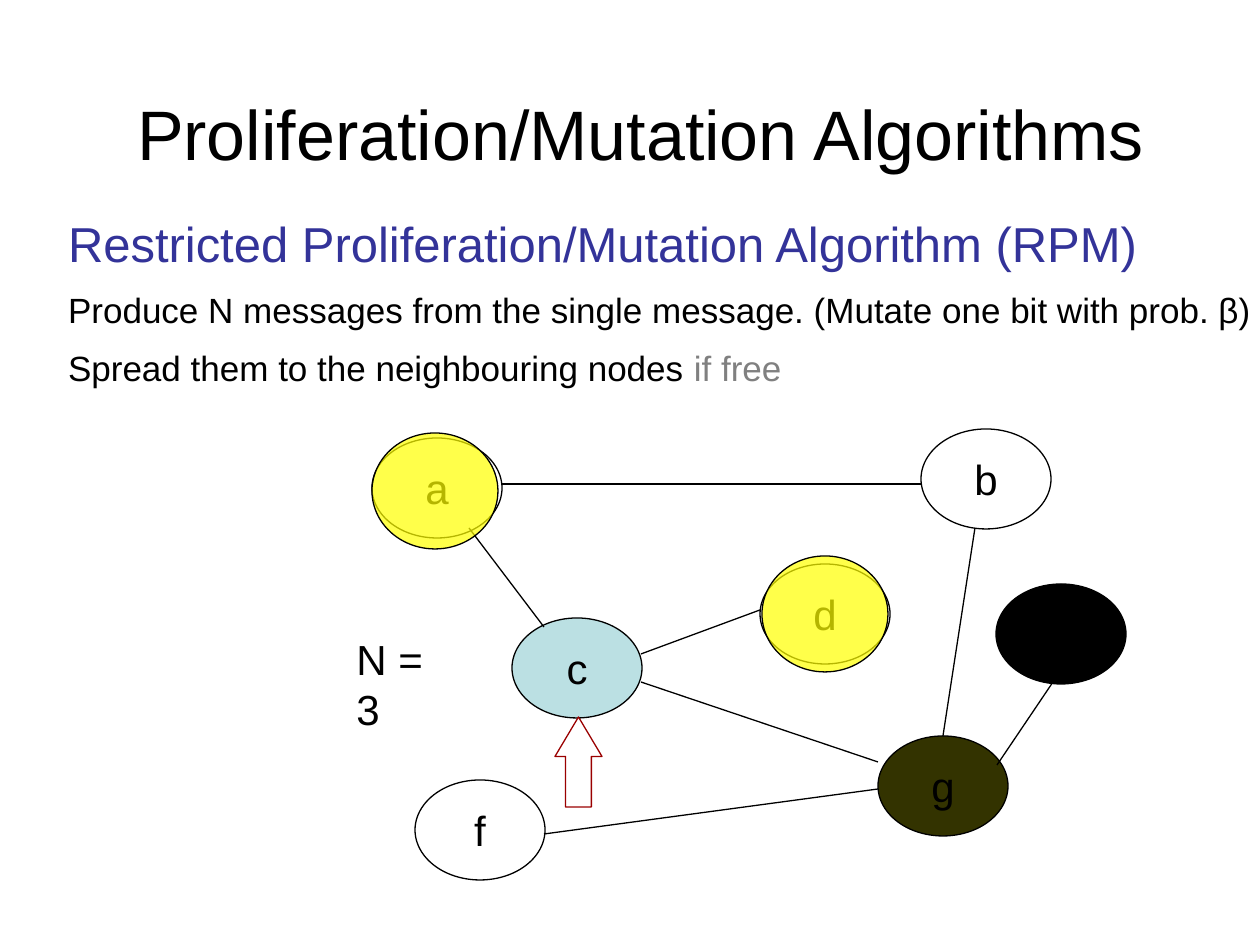
from lxml.etree import SubElement
from pptx import Presentation
from pptx.dml.color import RGBColor
from pptx.enum.shapes import MSO_CONNECTOR, MSO_SHAPE
from pptx.enum.text import MSO_ANCHOR, PP_ALIGN
from pptx.oxml.ns import qn
from pptx.util import Emu, Pt

PX_PER_INCH = 126
BLACK, WHITE, YELLOW = "000000", "FFFFFF", "FFFF00"
NODE_SIZE = (130, 100)
MARK_SIZE = (126, 116)
NODES = [
    ("a", 372, 438, WHITE),
    ("c", 512, 618, "BBE0E3"),
    ("b", 921, 429, WHITE),
    ("f", 415, 780, WHITE),
    ("g", 878, 736, "333300"),
    ("d", 760, 564, WHITE),
]
EDGES = [
    (469, 528, 544, 627),
    (641, 682, 878, 762),
    (760, 610, 641, 654),
    (544, 834, 878, 789),
    (501, 484, 921, 484),
    (975, 528, 943, 736),
]
BLOCKED_NODE = ("", 996, 584, BLACK)
BLOCKED_EDGE = (1053, 682, 997, 765)
MARKS = [(762, 556), (372, 433)]


def px(length):
    """Turn pixels into EMU."""
    return Emu(round(length * 914400 / PX_PER_INCH))


def color(hex_value):
    """Turn a hex string into a colour."""
    return RGBColor.from_string(hex_value)


def apply_format(target, values):
    """Set each attribute named in a dict."""
    for name, value in values.items():
        setattr(target, name, value)


def add_run(paragraph, text, size, hex_value=BLACK):
    """Add one run of Arial text."""
    run = paragraph.add_run()
    run.text = text
    apply_format(run.font, {"name": "Arial", "size": Pt(size)})
    run.font.color.rgb = color(hex_value)


def add_text(slide, box, paragraphs, frame_format, line_spacing=None):
    """Add a text box whose paragraphs are lists of runs."""
    frame = slide.shapes.add_textbox(*map(px, box)).text_frame
    apply_format(frame, frame_format)
    for index, runs in enumerate(paragraphs):
        paragraph = frame.add_paragraph() if index else frame.paragraphs[0]
        paragraph.line_spacing = line_spacing
        for run in runs:
            add_run(paragraph, *run)


def add_outlined(slide, preset, box, fill, line=BLACK):
    """Add a filled preset shape with a thin outline."""
    shape = slide.shapes.add_shape(preset, *map(px, box))
    shape.shadow.inherit = False
    shape.fill.solid()
    shape.fill.fore_color.rgb = color(fill)
    shape.line.color.rgb = color(line)
    shape.line.width = Pt(0.75)
    return shape


def add_node(slide, letter, left, top, fill):
    """Add a network node with its letter."""
    node = add_outlined(slide, MSO_SHAPE.OVAL, (left, top, *NODE_SIZE), fill)
    if letter:
        frame = node.text_frame
        apply_format(frame, {"word_wrap": False, "vertical_anchor": MSO_ANCHOR.MIDDLE})
        frame.paragraphs[0].alignment = PP_ALIGN.CENTER
        add_run(frame.paragraphs[0], letter, 24)


def add_edge(slide, ends):
    """Add a straight link between two nodes."""
    edge = slide.shapes.add_connector(MSO_CONNECTOR.STRAIGHT, *map(px, ends))
    edge.line.color.rgb = color(BLACK)
    edge.line.width = Pt(0.75)
    SubElement(edge._element.spPr, qn("a:effectLst"))


def add_mark(slide, left, top):
    """Add a translucent highlight over a node that received a message."""
    mark = add_outlined(slide, MSO_SHAPE.OVAL, (left, top, *MARK_SIZE), YELLOW)
    fill_color = mark._element.spPr.find(qn("a:solidFill"))[0]
    SubElement(fill_color, qn("a:alpha"), val="71000")


def add_source_arrow(slide):
    """Add the arrow pointing at the node that holds the message."""
    arrow = add_outlined(slide, MSO_SHAPE.UP_ARROW, (555, 717, 47, 90), WHITE, "9A0000")
    arrow.adjustments[0] = 0.55
    arrow.adjustments[1] = 0.84


def main():
    """Build the slide and save it."""
    deck = Presentation()
    apply_format(deck, {"slide_width": px(1260), "slide_height": px(945)})
    slide = deck.slides.add_slide(deck.slide_layouts[6])

    flush = {"word_wrap": True, "margin_left": 0, "margin_top": 0,
             "margin_right": 0, "margin_bottom": 0}
    add_text(slide, (137, 116, 1027, 58),
             [[("Proliferation/Mutation Algorithms", 40)]], flush, Pt(33.2))
    add_text(slide, (5, 214, 1255, 175), [
        [("Restricted Proliferation/Mutation Algorithm (RPM)", 28, "333399")],
        [("Produce N messages from the single message. (Mutate one bit with prob. β)", 20)],
        [("Spread them to the neighbouring nodes ", 20), ("if free", 20, "808080")],
    ], {**flush, "margin_left": px(63)}, Pt(33.2))

    for node in NODES:
        add_node(slide, *node)
    for ends in EDGES:
        add_edge(slide, ends)
    add_source_arrow(slide)
    add_node(slide, *BLOCKED_NODE)
    add_edge(slide, BLOCKED_EDGE)
    add_text(slide, (344, 627, 126, 63), [[("N = 3", 24)]], {"word_wrap": False})
    for corner in MARKS:
        add_mark(slide, *corner)

    deck.save("out.pptx")


if __name__ == "__main__":
    main()
